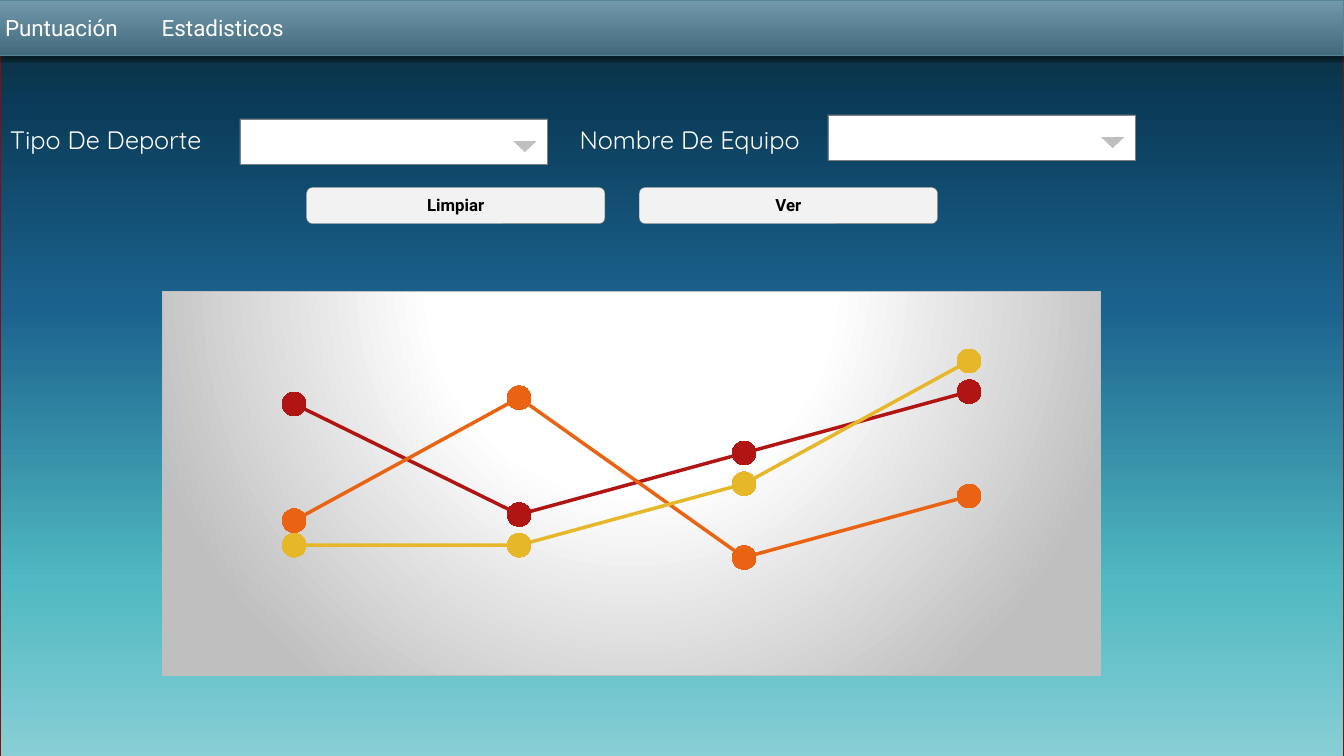
from dataclasses import dataclass

from pptx import Presentation
from pptx.chart.data import CategoryChartData
from pptx.dml.color import RGBColor
from pptx.enum.chart import XL_CHART_TYPE, XL_MARKER_STYLE
from pptx.enum.shapes import MSO_SHAPE
from pptx.enum.text import MSO_ANCHOR, PP_ALIGN
from pptx.oxml import parse_xml
from pptx.oxml.ns import nsdecls, qn
from pptx.util import Inches, Pt


@dataclass(frozen=True)
class Theme:
    backdrop: str = "000000"
    sky: tuple = ((0, "0F282A"), (12, "0A3A57"), (40, "1B638E"), (76, "50B9C1"), (100, "8AD0D6"))
    sky_line: str = "82100E"
    bar: tuple = ((0, "7198AB"), (100, "436A7C"))
    bar_line: str = "54849A"
    panel: tuple = ((0, "FFFFFF"), (39, "FFFFFF"), (100, "BFBFBF"))
    light: str = "FFFFFF"
    dark: str = "000000"
    button: str = "F2F2F2"
    outline: str = "808080"
    arrow: str = "BFBFBF"
    series: tuple = ("B01513", "EA6312", "E6B729")
    ui_font: str = "Roboto"
    label_font: str = "Quicksand"
    menu_size: int = 16
    label_size: int = 18
    button_size: int = 12
    chart_size: int = 10


THEME = Theme()
LINEAR_DOWN = '<a:lin ang="5400000" scaled="0"/>'
RADIAL_TOP = ('<a:path path="circle"><a:fillToRect l="50000" t="-80000" '
              'r="50000" b="180000"/></a:path>')


def rgb(color):
    return RGBColor.from_string(color)


def gradient(stops, direction):
    """Return gradient fill XML for (percent, colour) stops."""
    gs = "".join(f'<a:gs pos="{pos * 1000}"><a:srgbClr val="{color}"/></a:gs>'
                 for pos, color in stops)
    return (f'<a:gradFill {nsdecls("a")} rotWithShape="1"><a:gsLst>{gs}</a:gsLst>'
            f'{direction}</a:gradFill>')


def add_box(shapes, kind, box, fill, line=None, width=0.25):
    """Add a preset shape; fill is one colour or a tuple of gradient stops."""
    s = shapes.add_shape(kind, *map(Inches, box))
    s.shadow.inherit = False
    if isinstance(fill, tuple):
        s.fill.gradient()
        spPr = s._element.spPr
        spPr.replace(spPr.find(qn("a:gradFill")), parse_xml(gradient(fill, LINEAR_DOWN)))
    else:
        s.fill.solid()
        s.fill.fore_color.rgb = rgb(fill)
    if line:
        s.line.color.rgb = rgb(line)
        s.line.width = Pt(width)
    else:
        s.line.fill.background()
    return s


def write(tf, text, font, size, color, align=PP_ALIGN.LEFT, bold=False):
    tf.text = text
    p = tf.paragraphs[0]
    p.alignment = align
    f = p.runs[0].font
    f.name, f.size, f.bold = font, Pt(size), bold
    f.color.rgb = rgb(color)


def add_menu_bar(slide, box):
    s = add_box(slide.shapes, MSO_SHAPE.RECTANGLE, box, THEME.bar, THEME.bar_line, 0.75)
    s._element.spPr.find(qn("a:effectLst")).append(parse_xml(
        f'<a:outerShdw {nsdecls("a")} blurRad="38100" dist="25400" dir="5400000" '
        'rotWithShape="0"><a:srgbClr val="000000"><a:alpha val="45000"/></a:srgbClr>'
        '</a:outerShdw>'))
    tf = s.text_frame
    tf.vertical_anchor = MSO_ANCHOR.MIDDLE
    tf.margin_left = Inches(0.05)
    write(tf, "Puntuación\t Estadisticos", THEME.ui_font, THEME.menu_size, THEME.light)


def add_label(slide, box, text):
    tf = slide.shapes.add_textbox(*map(Inches, box)).text_frame
    tf.word_wrap = True
    write(tf, text, THEME.label_font, THEME.label_size, THEME.light)


def add_dropdown(slide, box):
    x, y, w, _ = box
    shapes = slide.shapes.add_group_shape().shapes
    add_box(shapes, MSO_SHAPE.RECTANGLE, box, THEME.light, THEME.outline)
    arrow = add_box(shapes, MSO_SHAPE.ISOSCELES_TRIANGLE,
                    (x + w - 0.34, y + 0.22, 0.23, 0.11), THEME.arrow)
    arrow.rotation = 180


def add_button(slide, box, text):
    s = add_box(slide.shapes, MSO_SHAPE.ROUNDED_RECTANGLE, box, THEME.button, THEME.outline)
    tf = s.text_frame
    tf.vertical_anchor = MSO_ANCHOR.MIDDLE
    tf.margin_top, tf.margin_bottom = 0, Inches(0.01)
    write(tf, text, THEME.ui_font, THEME.button_size, THEME.dark, PP_ALIGN.CENTER, True)


def style_panel(chart):
    """Give the chart its radial background and an evenly inset plot area."""
    chart_xml = chart._chartSpace.find(qn("c:chart"))
    chart_xml.addnext(parse_xml(
        f'<c:spPr {nsdecls("c", "a")}>{gradient(THEME.panel, RADIAL_TOP)}'
        f'<a:ln w="9525"><a:solidFill><a:srgbClr val="{THEME.arrow}"/></a:solidFill></a:ln>'
        '</c:spPr>'))
    plot_area = chart_xml.find(qn("c:plotArea"))
    old = plot_area.find(qn("c:layout"))
    if old is not None:
        plot_area.remove(old)
    places = "".join(f'<c:{tag} val="{val}"/>' for tag, val in (
        ("layoutTarget", "inner"), ("xMode", "edge"), ("yMode", "edge"),
        ("x", 0.02), ("y", 0.02), ("w", 0.96), ("h", 0.96)))
    plot_area.insert(0, parse_xml(
        f'<c:layout {nsdecls("c")}><c:manualLayout>{places}</c:manualLayout></c:layout>'))


def add_score_chart(slide, box):
    data = CategoryChartData()
    data.categories = ["1", "2", "3", "4"]
    scores = ((86, 50, 70, 90), (48, 88, 36, 56), (40, 40, 60, 100))
    for n, values in enumerate(scores, 1):
        data.add_series(f"Series {n}", values)
    chart = slide.shapes.add_chart(XL_CHART_TYPE.LINE_MARKERS, *map(Inches, box), data).chart
    chart.has_legend = chart.has_title = False
    chart.font.name, chart.font.size = THEME.label_font, Pt(THEME.chart_size)
    chart.font.color.rgb = rgb(THEME.light)
    chart.category_axis.visible = False
    axis = chart.value_axis
    axis.visible = axis.has_major_gridlines = False
    axis.minimum_scale, axis.maximum_scale = 0, 120
    plot = chart.plots[0]
    plot.vary_by_categories = False
    for series, color in zip(plot.series, THEME.series):
        series.smooth = False
        series.format.line.color.rgb = rgb(color)
        series.format.line.width = Pt(2.5)
        marker = series.marker
        marker.style, marker.size = XL_MARKER_STYLE.CIRCLE, 17
        marker.format.fill.solid()
        marker.format.fill.fore_color.rgb = rgb(color)
        marker.format.line.fill.background()
    style_panel(chart)


def add_statistics_slide(prs):
    slide = prs.slides.add_slide(prs.slide_layouts[6])
    slide.background.fill.solid()
    slide.background.fill.fore_color.rgb = rgb(THEME.backdrop)
    add_box(slide.shapes, MSO_SHAPE.RECTANGLE, (0, 0.07, 13.33, 7.5),
            THEME.sky, THEME.sky_line, 1.5)
    add_menu_bar(slide, (0, 0, 13.33, 0.55))
    for text, label_x, field_x, field_y in (("Tipo De Deporte", 0, 2.38, 1.18),
                                            ("Nombre De Equipo", 5.65, 8.21, 1.14)):
        add_label(slide, (label_x, 1.18, 3.04, 0.4), text)
        add_dropdown(slide, (field_x, field_y, 3.05, 0.45))
    for i, text in enumerate(("Limpiar", "Ver")):
        add_button(slide, (3.04 + 3.3 * i, 1.86, 2.96, 0.36), text)
    add_score_chart(slide, (1.61, 2.89, 9.31, 3.82))


def main():
    prs = Presentation()
    prs.slide_width, prs.slide_height = Inches(13.33), Inches(7.5)
    add_statistics_slide(prs)
    prs.save("out.pptx")


if __name__ == "__main__":
    main()
